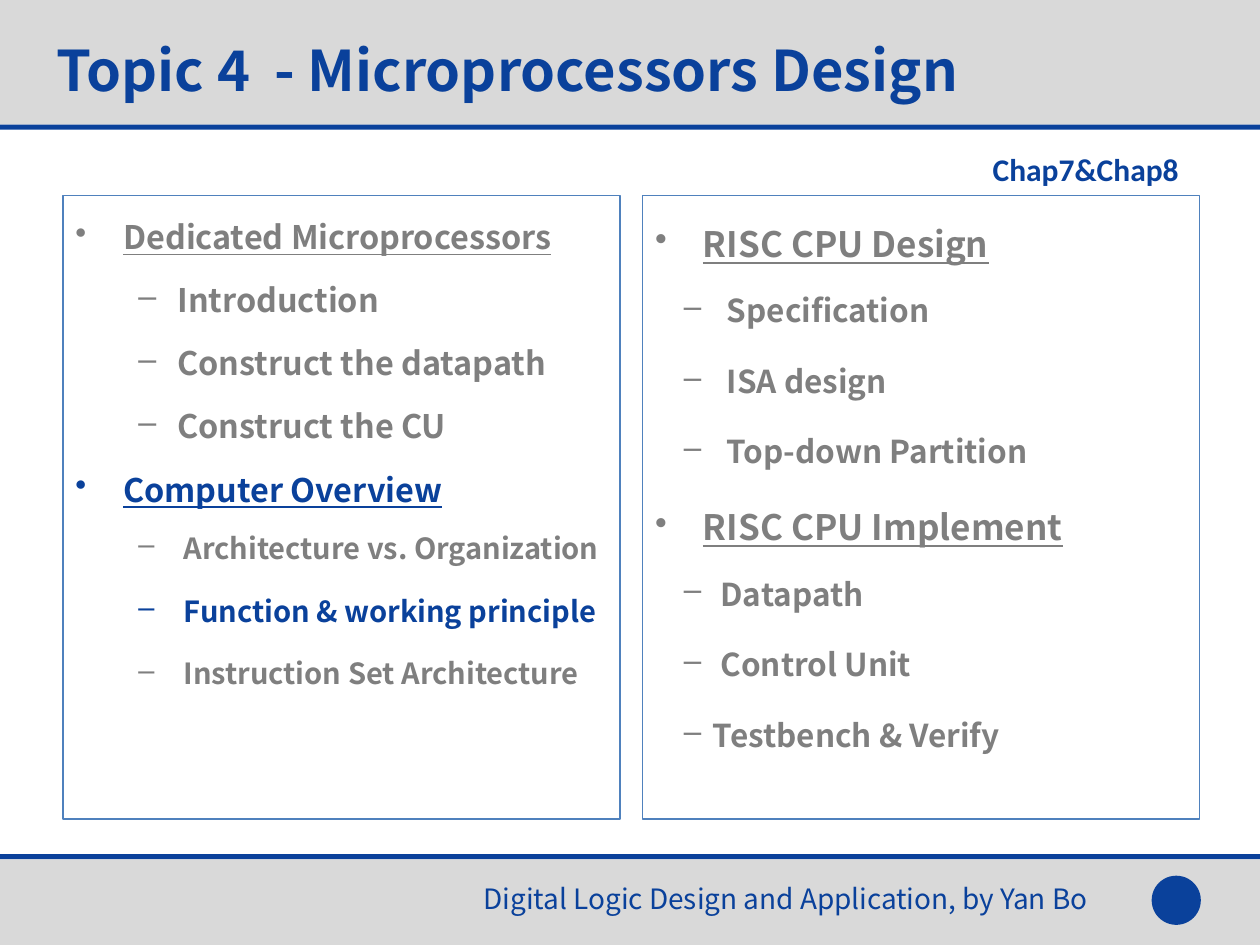
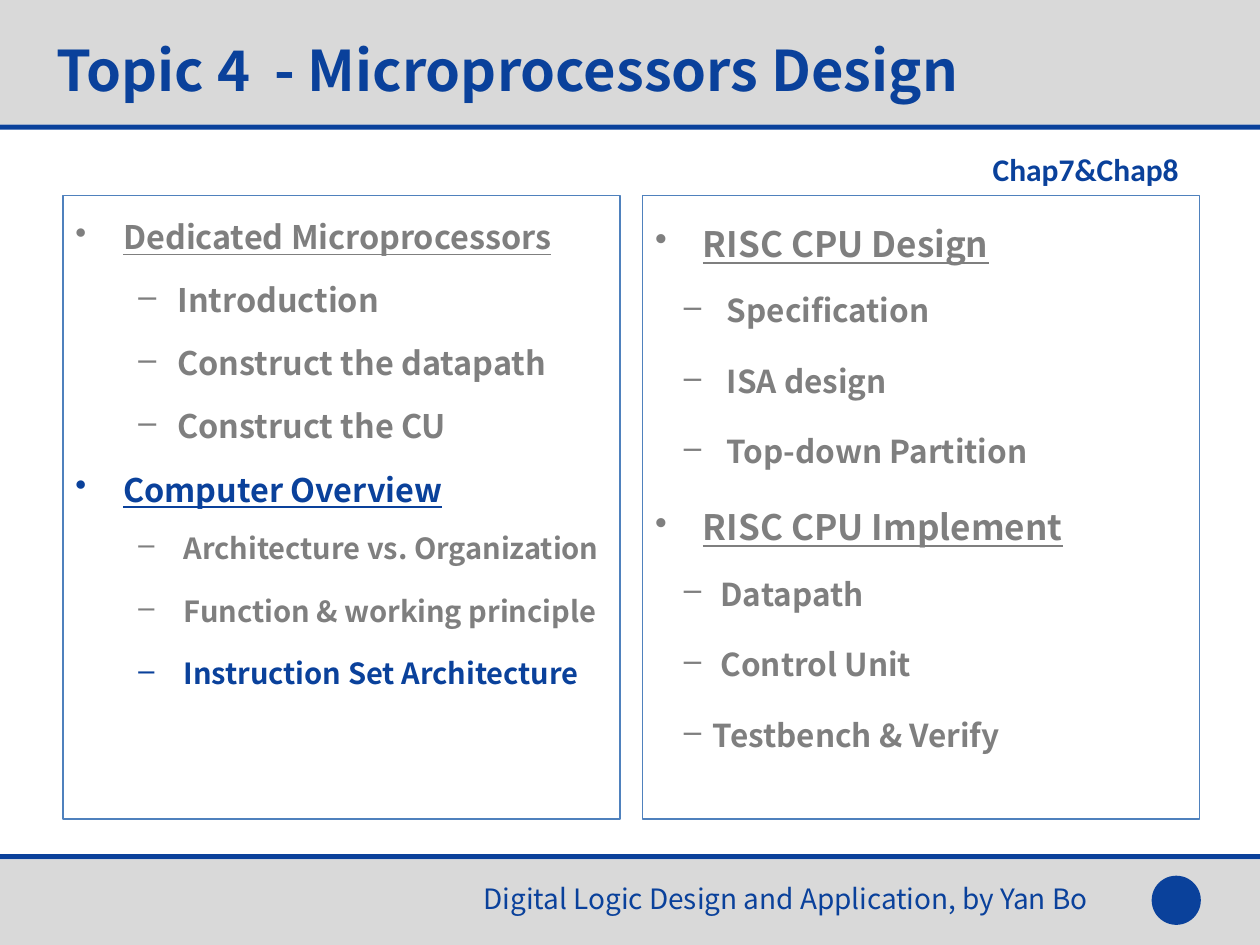
from dataclasses import dataclass

from lxml import etree
from pptx import Presentation
from pptx.dml.color import RGBColor
from pptx.enum.shapes import MSO_SHAPE
from pptx.enum.text import MSO_ANCHOR, PP_ALIGN
from pptx.oxml.ns import qn
from pptx.util import Inches, Pt

RECTANGLE = MSO_SHAPE.RECTANGLE
OVAL = MSO_SHAPE.OVAL
TOP = MSO_ANCHOR.TOP
MIDDLE = MSO_ANCHOR.MIDDLE
LEFT = PP_ALIGN.LEFT
JUSTIFY = PP_ALIGN.JUSTIFY


@dataclass(frozen=True)
class Theme:
    blue: RGBColor = RGBColor(0x0A, 0x41, 0x9B)
    band_gray: RGBColor = RGBColor(0xD9, 0xD9, 0xD9)
    muted: RGBColor = RGBColor(0x7F, 0x7F, 0x7F)
    panel_line: RGBColor = RGBColor(0x4F, 0x81, 0xBD)
    font: str = "Noto Sans CJK SC"
    label_font: str = "Calibri"
    title_size: float = 32
    label_size: float = 18
    footer_size: float = 16


@dataclass(frozen=True)
class ItemStyle:
    """Type size, spacing in points, and indents in inches of an outline item."""
    size: float
    text_indent: float
    bullet_indent: float = 0
    before: float = 5
    after: float = 0

    @property
    def is_heading(self):
        return self.bullet_indent == 0


THEME = Theme()
SLIDE_WIDTH, SLIDE_HEIGHT = 10, 7.5
HEADER_HEIGHT, FOOTER_TOP, RULE_HEIGHT = 0.99, 6.82, 0.04
PANEL_TOP, PANEL_WIDTH, PANEL_HEIGHT = 1.55, 4.42, 4.95
LEFT_PANEL, RIGHT_PANEL = 0.5, 5.1


def right_item(text_indent):
    return ItemStyle(18, text_indent, 0.23, 4.5, 3.4)


LEFT_HEADING = ItemStyle(18.5, 0.38)
LEFT_ITEM = ItemStyle(18.5, 0.81, 0.5)
LEFT_SMALL_ITEM = ItemStyle(16.6, 0.86, 0.5, 4.5, 3.4)
RIGHT_HEADING = ItemStyle(20, 0.38)
DESIGN_ITEM = right_item(0.57)
IMPLEMENT_ITEM = right_item(0.52)
VERIFY_ITEM = right_item(0.46)

MICROPROCESSOR_OUTLINE = [
    ("Dedicated Microprocessors", LEFT_HEADING),
    ("Introduction", LEFT_ITEM),
    ("Construct the datapath", LEFT_ITEM),
    ("Construct the CU", LEFT_ITEM),
    ("Computer Overview", LEFT_HEADING),
    ("Architecture vs. Organization", LEFT_SMALL_ITEM),
    ("Function & working principle", LEFT_SMALL_ITEM),
    ("Instruction Set Architecture", LEFT_SMALL_ITEM),
]
RISC_OUTLINE = [
    ("RISC CPU Design", RIGHT_HEADING),
    ("Specification", DESIGN_ITEM),
    ("ISA design", DESIGN_ITEM),
    ("Top-down Partition", DESIGN_ITEM),
    ("RISC CPU Implement", RIGHT_HEADING),
    ("Datapath", IMPLEMENT_ITEM),
    ("Control Unit", IMPLEMENT_ITEM),
    ("Testbench & Verify", VERIFY_ITEM),
]
CURRENT_TOPICS = ["Function & working principle", "Instruction Set Architecture"]


def set_font(paragraph, size, color, name=THEME.font, bold=False, underline=False):
    font = paragraph.font
    font.name = name
    font.size = Pt(size)
    font.bold = bold
    font.underline = underline
    font.color.rgb = color


def add_filled_shape(slide, kind, left, top, width, height, color):
    shape = slide.shapes.add_shape(
        kind, Inches(left), Inches(top), Inches(width), Inches(height))
    shape.shadow.inherit = False
    shape.fill.solid()
    shape.fill.fore_color.rgb = color
    shape.line.fill.background()


def add_text(slide, text, left, top, width, height, size,
             name=THEME.font, bold=False, anchor=TOP, tab=None):
    """Add one line of blue text, with an optional tab stop in inches."""
    box = slide.shapes.add_textbox(
        Inches(left), Inches(top), Inches(width), Inches(height))
    frame = box.text_frame
    frame.word_wrap = True
    frame.vertical_anchor = anchor
    paragraph = frame.paragraphs[0]
    paragraph.text = text
    if tab:
        properties = paragraph._p.get_or_add_pPr()
        tab_list = etree.SubElement(properties, qn("a:tabLst"))
        etree.SubElement(tab_list, qn("a:tab"), pos=str(Inches(tab)), algn="l")
    set_font(paragraph, size, THEME.blue, name, bold)


def add_bullet(paragraph, style, color):
    properties = paragraph._p.get_or_add_pPr()
    properties.set("marL", str(Inches(style.text_indent)))
    properties.set("indent", str(Inches(style.bullet_indent - style.text_indent)))
    bullet_color = etree.SubElement(properties, qn("a:buClr"))
    etree.SubElement(bullet_color, qn("a:srgbClr"), val=str(color))
    etree.SubElement(properties, qn("a:buChar"), char="•" if style.is_heading else "–")


def add_outline_panel(slide, left, outline, line_spacing, alignment, highlighted=()):
    panel = slide.shapes.add_shape(
        RECTANGLE, Inches(left), Inches(PANEL_TOP),
        Inches(PANEL_WIDTH), Inches(PANEL_HEIGHT))
    panel.shadow.inherit = False
    panel.fill.background()
    panel.line.color.rgb = THEME.panel_line
    panel.line.width = Pt(0.75)
    frame = panel.text_frame
    frame.word_wrap = True
    frame.vertical_anchor = TOP
    for index, (text, style) in enumerate(outline):
        paragraph = frame.add_paragraph() if index else frame.paragraphs[0]
        paragraph.text = text
        paragraph.level = 0 if style.is_heading else 1
        paragraph.alignment = alignment
        paragraph.line_spacing = line_spacing
        paragraph.space_before = Pt(style.before if index else 0)
        paragraph.space_after = Pt(style.after)
        color = THEME.blue if text in highlighted else THEME.muted
        add_bullet(paragraph, style, color)
        set_font(paragraph, style.size, color, bold=True, underline=style.is_heading)


def add_frame(slide):
    """Add the bands, rules, title and footer that every slide shares."""
    bands = [
        (FOOTER_TOP, SLIDE_HEIGHT - FOOTER_TOP, THEME.band_gray),
        (0, HEADER_HEIGHT, THEME.band_gray),
        (HEADER_HEIGHT, RULE_HEIGHT, THEME.blue),
        (FOOTER_TOP - RULE_HEIGHT, RULE_HEIGHT, THEME.blue),
    ]
    for top, height, color in bands:
        add_filled_shape(slide, RECTANGLE, 0, top, SLIDE_WIDTH, height, color)
    add_filled_shape(slide, OVAL, 9.14, 6.95, 0.39, 0.39, THEME.blue)
    add_text(slide, "Digital Logic Design and Application, by Yan Bo",
             3.74, 6.95, 5.28, 0.55, THEME.footer_size)
    add_text(slide, "Topic 4\t- Microprocessors Design", 0.35, 0.21, 9.13, 0.67,
             THEME.title_size, bold=True, anchor=MIDDLE, tab=1.73)


def add_topic_slide(presentation, current_topic):
    slide = presentation.slides.add_slide(presentation.slide_layouts[6])
    add_frame(slide)
    add_outline_panel(slide, LEFT_PANEL, MICROPROCESSOR_OUTLINE, 1.4, JUSTIFY,
                      ("Computer Overview", current_topic))
    add_outline_panel(slide, RIGHT_PANEL, RISC_OUTLINE, 1.5, LEFT)
    add_text(slide, "Chap7&Chap8", 7.78, 1.14, 1.92, 0.4,
             THEME.label_size, THEME.label_font, bold=True)


def main():
    presentation = Presentation()
    presentation.slide_width = Inches(SLIDE_WIDTH)
    presentation.slide_height = Inches(SLIDE_HEIGHT)
    for topic in CURRENT_TOPICS:
        add_topic_slide(presentation, topic)
    presentation.save("out.pptx")


if __name__ == "__main__":
    main()
